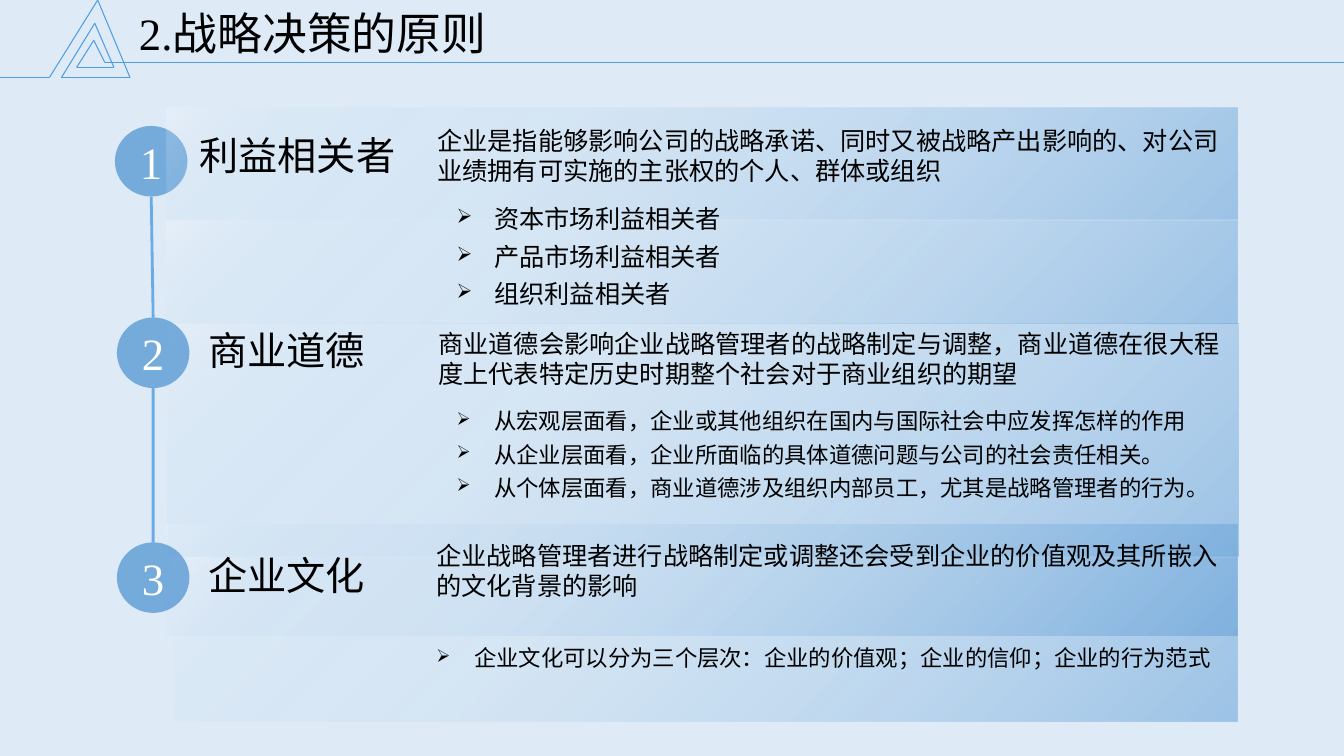
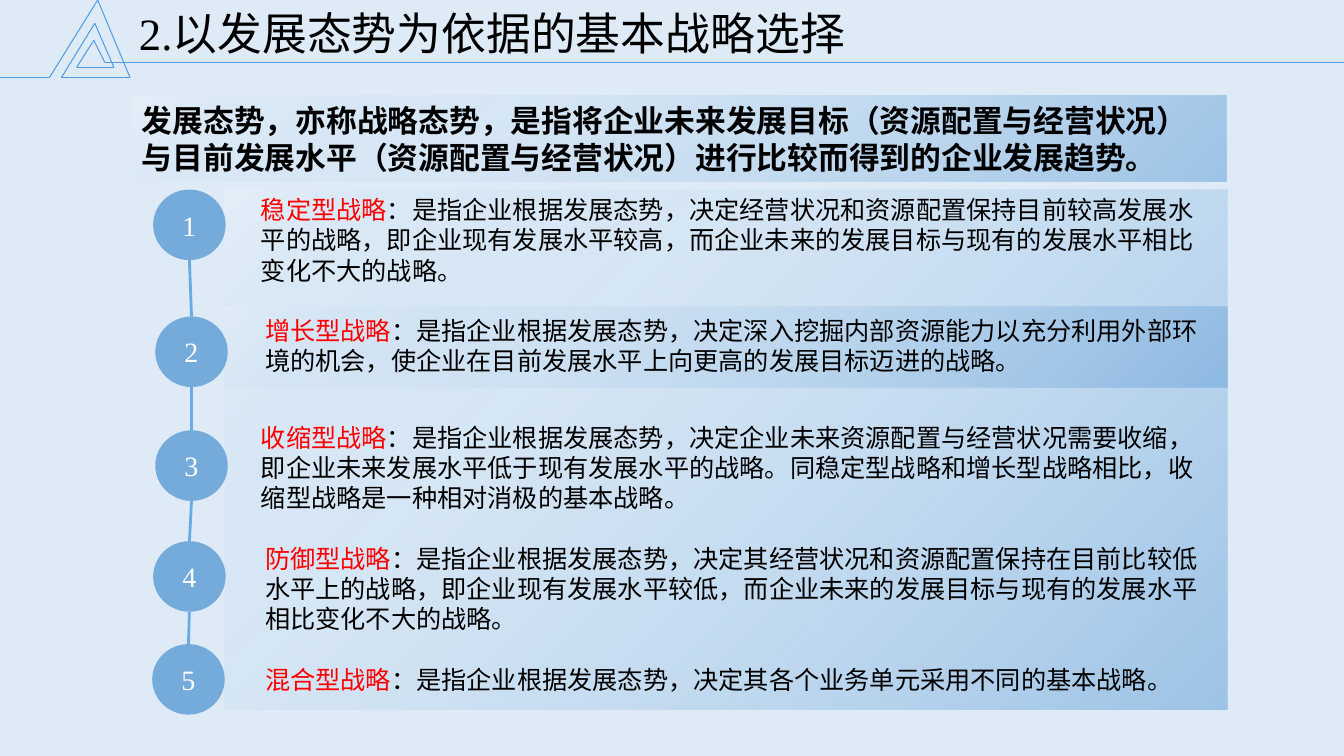
import itertools
import pptx
import pptx.dml.color
import pptx.enum.shapes
import pptx.enum.text
import pptx.oxml
import pptx.oxml.ns
import pptx.util

Pt = pptx.util.Pt
qn = pptx.oxml.ns.qn
SHAPE = pptx.enum.shapes.MSO_SHAPE
ALIGN = pptx.enum.text.PP_ALIGN
ANCHOR = pptx.enum.text.MSO_ANCHOR
NS = 'xmlns:a="http://schemas.openxmlformats.org/drawingml/2006/main"'

COLORS = {"back": "DEEBF7", "line": "4F9CE1", "blue": "5B9BD5", "pale": "B5D2EC",
          "white": "FFFFFF", "black": "000000", "red": "FF0000"}
LATIN, CJK = "Times New Roman", "Noto Sans CJK SC"

# Formats for text
TITLE = {"size": Pt(32), "name": LATIN}
HEADING = {"size": Pt(28), "name": LATIN}
BODY = {"size": Pt(18), "name": CJK}
ITEM = {"size": Pt(18), "name": LATIN}
SMALL_ITEM = {"size": Pt(16), "name": LATIN}
LEAD = {"size": Pt(22), "name": CJK, "bold": True}

# One continuous line draws the nested triangles and the title rule
HEADER = [(0, 55.4), (35.3, 55.4), (69.8, 0), (92.9, 55.4), (43.9, 55.4), (67.7, 16.6),
          (81.4, 48.2), (54.7, 48.2), (67, 28.8), (74.9, 44.6), (960, 44.6)]
# Panel gradient: position, colour, opacity in percent
STOPS = [(0, "blue", 50), (67, "pale", 20), (88, "pale", 10), (100, "white", 20)]
CIRCLE_W, CIRCLE_H = 51.8, 50.4


def xml(text):
    return pptx.oxml.parse_xml(text.replace(">", f" {NS}>", 1))


def rgb(key):
    return pptx.dml.color.RGBColor.from_string(COLORS[key])


def set_alpha(element, percent):
    color = next(element.iter(qn("a:srgbClr")))
    color.append(xml(f'<a:alpha val="{percent * 1000}"></a:alpha>'))


def add_run(p, text, fmt, color="black"):
    r = p.add_run()
    r.text = text
    for key, value in fmt.items():
        setattr(r.font, key, value)
    r.font.color.rgb = rgb(color)
    r.font._element.find(qn("a:latin")).addnext(xml(f'<a:ea typeface="{CJK}"></a:ea>'))


def add_text(slide, box, runs, fmt):
    """Add a text box; runs is a list of (text, colour)."""
    tf = slide.shapes.add_textbox(*map(Pt, box)).text_frame
    tf.word_wrap = True
    for text, color in runs:
        add_run(tf.paragraphs[0], text, fmt, color)
    return tf


def add_bullets(slide, box, items, fmt):
    tf = slide.shapes.add_textbox(*map(Pt, box)).text_frame
    tf.word_wrap = True
    for i, item in enumerate(items):
        p = tf.add_paragraph() if i else tf.paragraphs[0]
        p.level = 1
        p.line_spacing = 1.24
        pPr = p._p.get_or_add_pPr()
        pPr.set("marL", str(Pt(63)))
        pPr.set("indent", str(Pt(-27)))
        pPr.append(xml('<a:buSzPct val="80000"></a:buSzPct>'))
        pPr.append(xml('<a:buChar char="➢"></a:buChar>'))
        add_run(p, item, fmt)


def add_line(slide, start, end, width):
    s = slide.shapes.add_connector(pptx.enum.shapes.MSO_CONNECTOR.STRAIGHT,
                                   *map(Pt, start + end))
    s.line.color.rgb = rgb("line")
    s.line.width = Pt(width)
    s._element.spPr.append(xml("<a:effectLst></a:effectLst>"))
    return s


def add_shape(slide, kind, box):
    s = slide.shapes.add_shape(kind, *map(Pt, box))
    s.shadow.inherit = False
    s.line.fill.background()
    s.text_frame.word_wrap = True
    s.text_frame.vertical_anchor = ANCHOR.MIDDLE
    return s


def add_panel(slide, box):
    """Add a rectangle shaded towards its lower right corner."""
    s = add_shape(slide, SHAPE.RECTANGLE, box)
    s.fill.background()
    stops = "".join(
        f'<a:gs pos="{pos * 1000}"><a:srgbClr val="{COLORS[key]}">'
        f'<a:alpha val="{alpha * 1000}"/></a:srgbClr></a:gs>' for pos, key, alpha in STOPS)
    spPr = s._element.spPr
    spPr.replace(spPr.find(qn("a:noFill")), xml(
        f'<a:gradFill><a:gsLst>{stops}</a:gsLst><a:path path="circle">'
        '<a:fillToRect l="100000" t="100000"/></a:path></a:gradFill>'))
    return s


def add_circle(slide, number, left, top, size):
    s = add_shape(slide, SHAPE.OVAL, (left, top, CIRCLE_W, CIRCLE_H))
    s.fill.solid()
    s.fill.fore_color.rgb = rgb("blue")
    set_alpha(s._element.spPr, 80)
    p = s.text_frame.paragraphs[0]
    p.alignment = ALIGN.CENTER
    add_run(p, str(number), {"size": Pt(size), "name": LATIN}, "white")


def link_circles(slide, corners):
    """Join each circle's foot to the top of the next one."""
    for (x1, y1), (x2, y2) in itertools.pairwise(corners):
        s = add_line(slide, (x1 + CIRCLE_W / 2, y1 + CIRCLE_H), (x2 + CIRCLE_W / 2, y2), 2)
        set_alpha(s.line._ln, 80)


def new_slide(prs, title):
    slide = prs.slides.add_slide(prs.slide_layouts[6])
    for start, end in itertools.pairwise(HEADER):
        add_line(slide, start, end, 0.75)
    tf = add_text(slide, (92.2, 5, 828, 48.2), [(title, "black")], TITLE)
    tf.paragraphs[0].line_spacing = 0.9
    return slide


def principles_slide(prs):
    slide = new_slide(prs, "2.战略决策的原则")
    corners = [(82.1, 90), (83.5, 226.8), (83.5, 387.4)]

    # Panels and numbers; the top panels overlap the first circle
    for box in [(124.6, 398.2, 759.6, 117.4), (118.8, 374.4, 765.4, 79.9),
                (119.5, 231.1, 765.4, 166.3)]:
        add_panel(slide, box)
    add_circle(slide, 1, *corners[0], 32)
    for top, height in [(157.7, 73.4), (77, 79.9)]:
        add_panel(slide, (118.8, top, 765.4, height))
    for number, corner in enumerate(corners[1:], 2):
        add_circle(slide, number, *corner, 32)
    link_circles(slide, corners)

    # Headings, explanations and lists
    for left, top, heading in [(135.4, 90, "利益相关者"), (141.8, 229.7, "商业道德"),
                               (141.8, 390.2, "企业文化")]:
        add_text(slide, (left, top, 263, 41), [(heading, "black")], HEADING)
    for left, top, text in [
            (305.3, 85.7, "企业是指能够影响公司的战略承诺、同时又被战略产出影响的、"
             "对公司业绩拥有可实施的主张权的个人、群体或组织"),
            (306, 231.1, "商业道德会影响企业战略管理者的战略制定与调整，"
             "商业道德在很大程度上代表特定历史时期整个社会对于商业组织的期望"),
            (304.6, 382.3, "企业战略管理者进行战略制定或调整还会受到企业的价值观"
             "及其所嵌入的文化背景的影响")]:
        add_text(slide, (left, top, 578, 51), [(text, "black")], BODY)
    add_bullets(slide, (283, 136.8, 602, 88.6),
                ["资本市场利益相关者", "产品市场利益相关者", "组织利益相关者"], ITEM)
    add_bullets(slide, (283, 283, 602, 79.2),
                ["从宏观层面看，企业或其他组织在国内与国际社会中应发挥怎样的作用",
                 "从企业层面看，企业所面临的具体道德问题与公司的社会责任相关。",
                 "从个体层面看，商业道德涉及组织内部员工，尤其是战略管理者的行为。"], SMALL_ITEM)
    add_bullets(slide, (268.6, 452.2, 615.6, 31),
                ["企业文化可以分为三个层次：企业的价值观；企业的信仰；企业的行为范式"], SMALL_ITEM)


def strategies_slide(prs):
    slide = new_slide(prs, "2.以发展态势为依据的基本战略选择")

    # Panels and the definition
    for top, height in [(218.9, 57.6), (135.4, 371.5)]:
        add_panel(slide, (160.6, top, 716.4, height))
    s = add_panel(slide, (94.3, 68.4, 782, 61.2))
    p = s.text_frame.paragraphs[0]
    p.alignment = ALIGN.LEFT
    add_run(p, "发展态势，亦称战略态势，是指将企业未来发展目标（资源配置与经营状况）"
            "与目前发展水平（资源配置与经营状况）进行比较而得到的企业发展趋势。", LEAD)

    # Numbers
    corners = [(109.4, 135.4), (110.9, 226.1), (110.9, 307.4), (109.4, 386.6), (108.7, 460.1)]
    for number, corner in enumerate(corners, 1):
        add_circle(slide, number, *corner, 20)
    link_circles(slide, corners)

    # Strategies
    for box, name, text in [
            ((179.3, 135.4, 692.6, 72.7), "稳定型战略",
             "决定经营状况和资源配置保持目前较高发展水平的战略，即企业现有发展水平较高，"
             "而企业未来的发展目标与现有的发展水平相比变化不大的战略。"),
            ((182.2, 221.8, 690.5, 51), "增长型战略",
             "决定深入挖掘内部资源能力以充分利用外部环境的机会，"
             "使企业在目前发展水平上向更高的发展目标迈进的战略。"),
            ((179.3, 298.1, 694, 72.7), "收缩型战略",
             "决定企业未来资源配置与经营状况需要收缩，即企业未来发展水平低于现有发展水平的战略。"
             "同稳定型战略和增长型战略相比，收缩型战略是一种相对消极的基本战略。"),
            ((182.2, 384.5, 694, 72.7), "防御型战略",
             "决定其经营状况和资源配置保持在目前比较低水平上的战略，即企业现有发展水平较低，"
             "而企业未来的发展目标与现有的发展水平相比变化不大的战略。"),
            ((182.2, 470.9, 694, 30), "混合型战略", "决定其各个业务单元采用不同的基本战略。")]:
        add_text(slide, box, [(name, "red"), ("：是指企业根据发展态势，" + text, "black")], ITEM)


def main():
    prs = pptx.Presentation()
    prs.slide_width, prs.slide_height = Pt(960), Pt(540)
    fill = prs.slide_master.background.fill
    fill.solid()
    fill.fore_color.rgb = rgb("back")
    principles_slide(prs)
    strategies_slide(prs)
    prs.save("out.pptx")


if __name__ == "__main__":
    main()
